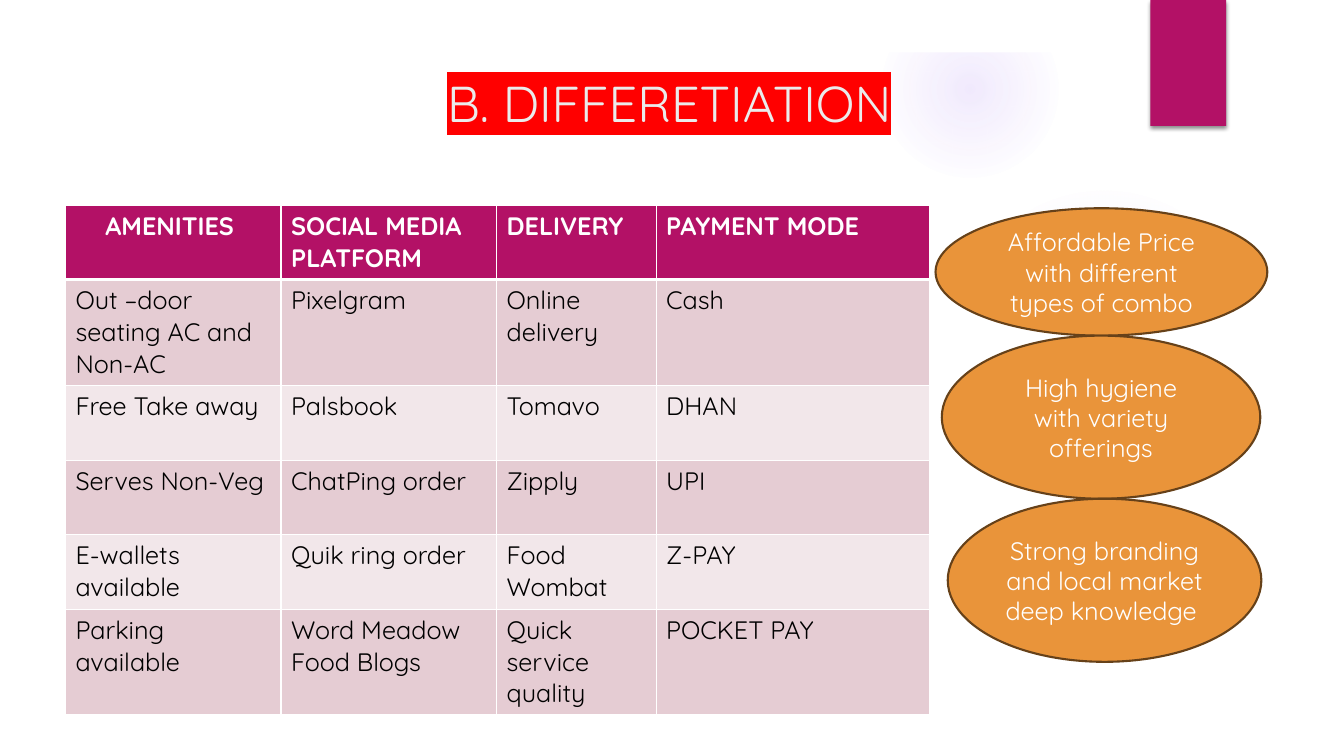
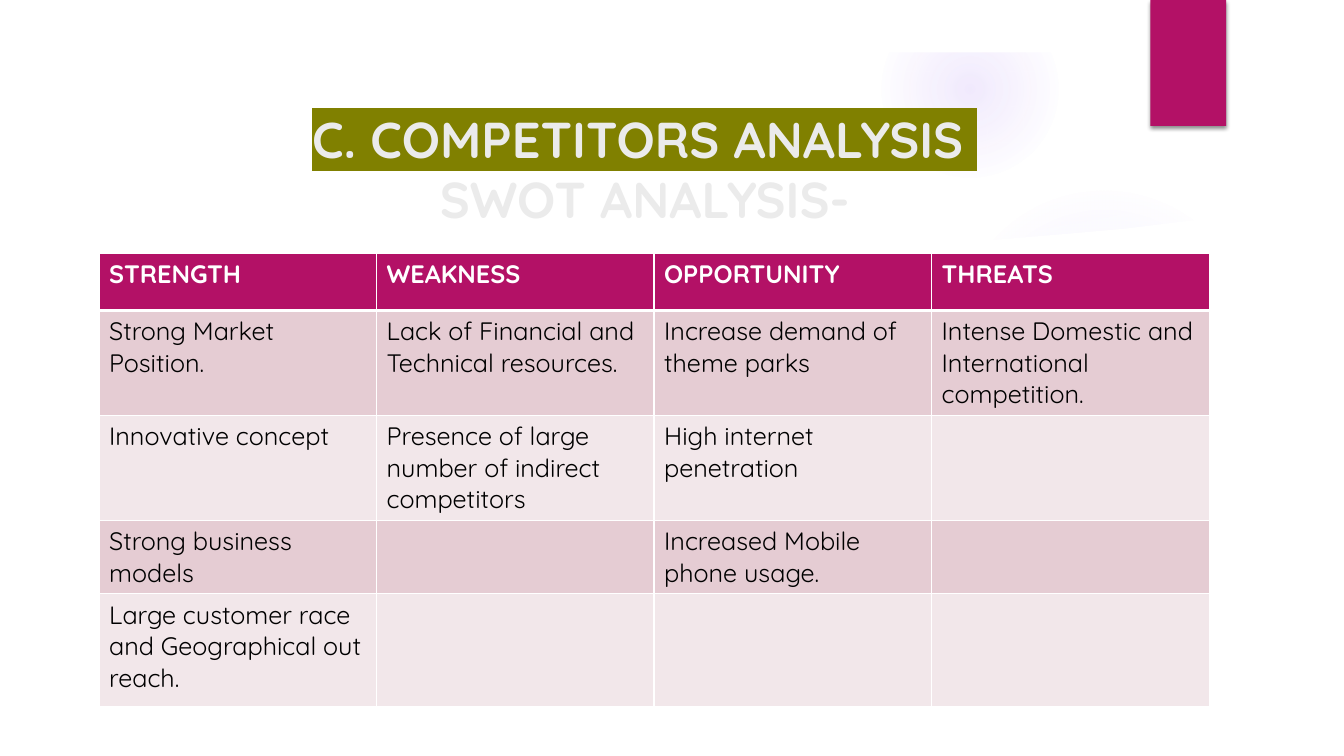
from pptx import Presentation
from pptx.dml.color import RGBColor
from pptx.enum import shapes as kinds, text as t
from pptx.oxml import parse_xml
from pptx.oxml.ns import nsdecls, qn
from pptx.util import Pt

WIDTH, HEIGHT = 960, 540
WHITE = RGBColor(0xFF, 0xFF, 0xFF)
BLACK = RGBColor(0, 0, 0)
PINK = RGBColor(0xB3, 0x11, 0x66)
ROSE = RGBColor(0xE5, 0xCC, 0xD3)
PALE = RGBColor(0xF2, 0xE7, 0xEA)
LILAC = RGBColor(0x9B, 0x6B, 0xF2)
GREY = RGBColor(0xEB, 0xEB, 0xEB)
RED = RGBColor(0xFF, 0, 0)
OLIVE = RGBColor(0x80, 0x80, 0)
AMBER = RGBColor(0xE9, 0x94, 0x3A)
BROWN = RGBColor(0x66, 0x41, 0x19)

FACE = "Quicksand"
HEAD = {"name": FACE, "size": Pt(36), "bold": False}
BODY = {"name": FACE, "size": Pt(18), "bold": False}
BOLD = {"bold": True}
OVAL = kinds.MSO_SHAPE.OVAL
RECT = kinds.MSO_SHAPE.RECTANGLE
CENTRE = t.PP_ALIGN.CENTER

GLOWS = [
    ((677.5, 131.75, 221.75, 221.75), [(0, 7), (36, 6), (69, 0)]),
    ((630, 0.75, 126, 126), [(0, 14), (36, 7), (73, 0)]),
]
SWOOSH = [(672.5, 180), (716.5, 180), (807, 170), (928, 154), (923.75, 119.5),
          (857, 139.7), (790.5, 155.5), (727, 167), (669.6, 175)]
PANEL = [(36, 147), (36, 504), (924.5, 504), (924.5, 147), (884, 153.4),
         (844, 158.4), (803.5, 163.4), (763, 167), (703, 172), (644, 175.7),
         (566, 178), (491, 178.5), (420, 177.5), (351, 175.7), (259, 170),
         (179, 163.5), (114.5, 157), (68, 151)]
FRAME = [
    [(0, 0), (0, HEIGHT), (WIDTH, HEIGHT), (WIDTH, 0)],
    [(922.5, 502.5), (37.5, 502.5), (37.5, 37.5), (922.5, 37.5)],
]

OFFERS = [
    ["AMENITIES ", "SOCIAL MEDIA PLATFORM", "DELIVERY", "PAYMENT MODE"],
    ["Out –door seating AC and Non-AC", "Pixelgram", "Online delivery", "Cash"],
    ["Free Take away", "Palsbook", "Tomavo", "DHAN"],
    ["Serves Non-Veg", "ChatPing order", "Zipply", "UPI"],
    ["E-wallets available", "Quik ring order", "Food Wombat", "Z-PAY"],
    ["Parking available", "Word Meadow Food Blogs", "Quick service quality", "POCKET PAY"],
]
SWOT = [
    ["STRENGTH", "WEAKNESS", "OPPORTUNITY", "THREATS"],
    ["Strong Market Position.", "Lack of Financial and Technical resources.",
     "Increase demand of theme parks", "Intense Domestic and International competition."],
    ["Innovative concept", "Presence of large number of indirect competitors",
     "High internet penetration", ""],
    ["Strong business models", "", "Increased Mobile phone usage.", ""],
    ["Large customer race and Geographical out reach.", "", "", ""],
]
PERKS = [
    ("Affordable Price with different types of combo", (668.25, 148.75, 237, 91)),
    ("High hygiene with variety offerings", (672.75, 239.75, 227.5, 116.5)),
    ("Strong branding and local market deep knowledge ", (677, 356.25, 224, 116.5)),
]


def points(box):
    return [Pt(v) for v in box]


def write(para, words, form, tint):
    run = para.add_run()
    run.text = words
    for key, value in form.items():
        setattr(run.font, key, value)
    run.font.color.rgb = tint
    return run


def mark(run, tint):
    node = parse_xml(f'<a:highlight {nsdecls("a")}><a:srgbClr val="{tint}"/></a:highlight>')
    run.font._element.find(qn("a:latin")).addprevious(node)


def paint(shape, fill):
    shape.shadow.inherit = False
    shape.fill.solid()
    shape.fill.fore_color.rgb = fill
    shape.line.fill.background()
    return shape


def block(slide, kind, box, fill):
    return paint(slide.shapes.add_shape(kind, *points(box)), fill)


def patch(slide, *loops):
    pen = None
    for loop in loops:
        start, *rest = [tuple(points(p)) for p in loop]
        if pen is None:
            pen = slide.shapes.build_freeform(*start)
        else:
            pen.move_to(*start)
        pen.add_line_segments(rest, close=True)
    return paint(pen.convert_to_shape(), WHITE)


def fade(shape, alpha):
    tint = shape._element.spPr.find(qn("a:solidFill"))[0]
    tint.append(parse_xml(f'<a:alpha {nsdecls("a")} val="{alpha * 1000}"/>'))


def glow(slide, box, stops):
    shape = block(slide, OVAL, box, LILAC)
    steps = "".join(
        f'<a:gs pos="{pos * 1000}"><a:srgbClr val="{LILAC}">'
        f'<a:alpha val="{alpha * 1000}"/></a:srgbClr></a:gs>' for pos, alpha in stops)
    grad = parse_xml(
        f'<a:gradFill {nsdecls("a")}><a:gsLst>{steps}</a:gsLst><a:path path="circle">'
        '<a:fillToRect l="50000" t="50000" r="50000" b="50000"/></a:path></a:gradFill>')
    props = shape._element.spPr
    props.replace(props.find(qn("a:solidFill")), grad)


def shade(shape):
    node = parse_xml(
        f'<a:outerShdw {nsdecls("a")} blurRad="{Pt(3)}" dist="{Pt(2)}" dir="5400000">'
        f'<a:srgbClr val="{BLACK}"><a:alpha val="45000"/></a:srgbClr></a:outerShdw>')
    shape._element.spPr.find(qn("a:effectLst")).append(node)


def base(deck):
    slide = deck.slides.add_slide(deck.slide_layouts[6])
    for box, stops in GLOWS:
        glow(slide, box, stops)
    fade(patch(slide, SWOOSH), 20)
    patch(slide, PANEL)
    patch(slide, *FRAME)
    shade(block(slide, RECT, (821.8, 0, 54, 90), PINK))
    return slide


def title(slide, box, lines, form, tint):
    frame = slide.shapes.add_textbox(*points(box)).text_frame
    frame.word_wrap = True
    frame.vertical_anchor = t.MSO_ANCHOR.MIDDLE
    para = frame.paragraphs[0]
    para.alignment = CENTRE
    mark(write(para, lines[0], form, GREY), tint)
    for line in lines[1:]:
        para.add_line_break()
        write(para, line, form, GREY)


def edge(cell, base_width):
    props = cell._tc.get_or_add_tcPr()
    widths = {"lnL": 1, "lnR": 1, "lnT": 1, "lnB": base_width}
    for place, (name, width) in enumerate(widths.items()):
        props.insert(place, parse_xml(
            f'<a:{name} {nsdecls("a")} w="{Pt(width)}"><a:solidFill>'
            f'<a:srgbClr val="{WHITE}"/></a:solidFill></a:{name}>'))


def grid(slide, spot, cols, rows, data):
    size = (sum(cols), sum(rows))
    table = slide.shapes.add_table(len(rows), len(cols), *points(spot + size)).table
    for col, width in zip(table.columns, cols):
        col.width = Pt(width)
    for r, (row, height) in enumerate(zip(table.rows, rows)):
        row.height = Pt(height)
        top = r == 0
        fill = PINK if top else (ROSE if r % 2 else PALE)
        form = BODY | BOLD if top else BODY
        for cell, words in zip(row.cells, data[r]):
            cell.fill.solid()
            cell.fill.fore_color.rgb = fill
            edge(cell, 3 if top else 1)
            if words:
                write(cell.text_frame.paragraphs[0], words, form, WHITE if top else BLACK)
    return table


def bubble(slide, words, box):
    shape = block(slide, OVAL, box, AMBER)
    shape.line.color.rgb = BROWN
    shape.line.width = Pt(1.5)
    frame = shape.text_frame
    frame.word_wrap = True
    frame.vertical_anchor = t.MSO_ANCHOR.MIDDLE
    frame.paragraphs[0].alignment = CENTRE
    write(frame.paragraphs[0], words, BODY, WHITE)


def main():
    deck = Presentation()
    deck.slide_width, deck.slide_height = Pt(WIDTH), Pt(HEIGHT)

    slide = base(deck)
    title(slide, (91, 47.5, 774, 51), ["B. DIFFERETIATION"], HEAD, RED)
    table = grid(slide, (46.75, 146.75), [154, 154, 114, 195],
                 [53, 75.75, 53.25, 53.25, 53.25, 75.5], OFFERS)
    table.cell(0, 0).text_frame.paragraphs[0].alignment = CENTRE
    for words, box in PERKS:
        bubble(slide, words, box)

    slide = base(deck)
    title(slide, (96, 59.75, 729, 121), ["C. COMPETITORS ANALYSIS ", "SWOT ANALYSIS-"],
          HEAD | BOLD, OLIVE)
    grid(slide, (70.75, 180.75), [198.25] * 4, [41, 75, 75, 52.5, 80.5], SWOT)

    deck.save("out.pptx")


if __name__ == "__main__":
    main()
